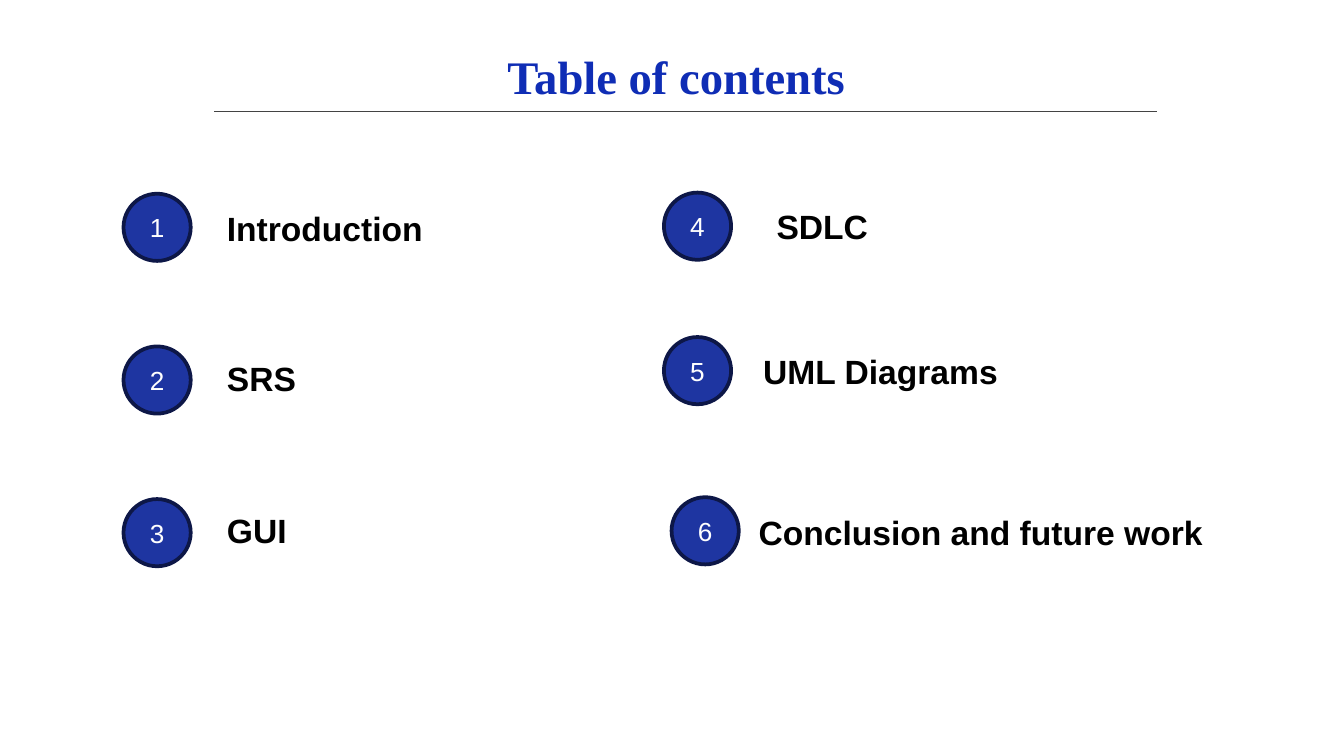
from lxml import etree
from pptx import Presentation
from pptx.dml.color import RGBColor
from pptx.enum.shapes import MSO_CONNECTOR, MSO_SHAPE
from pptx.enum.text import MSO_ANCHOR, MSO_AUTO_SIZE, PP_ALIGN
from pptx.oxml.ns import qn
from pptx.util import Pt

CIRCLE = MSO_SHAPE.FLOWCHART_CONNECTOR
STRAIGHT = MSO_CONNECTOR.STRAIGHT
MIDDLE, TOP = MSO_ANCHOR.MIDDLE, MSO_ANCHOR.TOP
CENTER, LEFT = PP_ALIGN.CENTER, PP_ALIGN.LEFT
FIT_SHAPE = MSO_AUTO_SIZE.SHAPE_TO_FIT_TEXT

TITLE_BLUE = RGBColor(0x0F, 0x2D, 0xB5)
CIRCLE_BLUE = RGBColor(0x1E, 0x35, 0xA1)
NAVY = RGBColor(0x0D, 0x17, 0x47)
GRAY = RGBColor(0x43, 0x43, 0x43)
BLACK = RGBColor(0, 0, 0)
WHITE = RGBColor(0xFF, 0xFF, 0xFF)

# Content: label, circle (left, top), label (left, top, width), in points
TITLE = "Table of contents"
ENTRIES = [
    ("Introduction", (66.2, 103.8), (114.5, 108, 120.2)),
    ("SRS", (66.2, 185.6), (114.5, 188, 67)),
    ("GUI", (66.2, 267.4), (114.5, 269.8, 46.8)),
    ("SDLC", (355.7, 103.2), (408.9, 107, 64.1)),
    ("UML Diagrams", (355.7, 180.6), (401.8, 184.6, 141.8)),
    ("Conclusion and future work", (359.8, 266.4), (399.4, 270.9, 254.9)),
]
DIAMETER = 36
LABEL_HEIGHT = 29


def add_text(tf, text, size, color, align, anchor, font="Arial", bold=False):
    tf.vertical_anchor = anchor
    p = tf.paragraphs[0]
    p.alignment = align
    r = p.add_run()
    r.text = text
    r.font.name, r.font.size, r.font.bold = font, Pt(size), bold
    r.font.color.rgb = color


prs = Presentation()
prs.slide_width, prs.slide_height = Pt(720), Pt(405)
s = prs.slides.add_slide(prs.slide_layouts[6])

# Rule under the title
rule = s.shapes.add_connector(STRAIGHT, Pt(114.7), Pt(59.6), Pt(619.7), Pt(59.6))
rule.line.color.rgb = GRAY
rule.line.width = Pt(0.75)
etree.SubElement(rule._element.spPr, qn("a:effectLst"))

# Title
tf = s.shapes.add_textbox(Pt(-10.8), Pt(21.8), Pt(746), Pt(38)).text_frame
tf.word_wrap = True
tf.margin_left = tf.margin_right = tf.margin_top = tf.margin_bottom = Pt(7.2)
add_text(tf, TITLE, 25, TITLE_BLUE, CENTER, MIDDLE, "Times New Roman", True)

# Numbered circles with their labels
for number, (label, (cx, cy), (x, y, width)) in enumerate(ENTRIES, 1):
    sp = s.shapes.add_shape(CIRCLE, Pt(cx), Pt(cy), Pt(DIAMETER), Pt(DIAMETER))
    sp.shadow.inherit = False
    sp.fill.solid()
    sp.fill.fore_color.rgb = CIRCLE_BLUE
    sp.line.color.rgb = NAVY
    sp.line.width = Pt(2)
    add_text(sp.text_frame, str(number), 14, WHITE, CENTER, MIDDLE)

    tf = s.shapes.add_textbox(Pt(x), Pt(y), Pt(width), Pt(LABEL_HEIGHT)).text_frame
    tf.word_wrap = False
    tf.auto_size = FIT_SHAPE
    add_text(tf, label, 18, BLACK, LEFT, TOP, bold=True)

prs.save("out.pptx")
